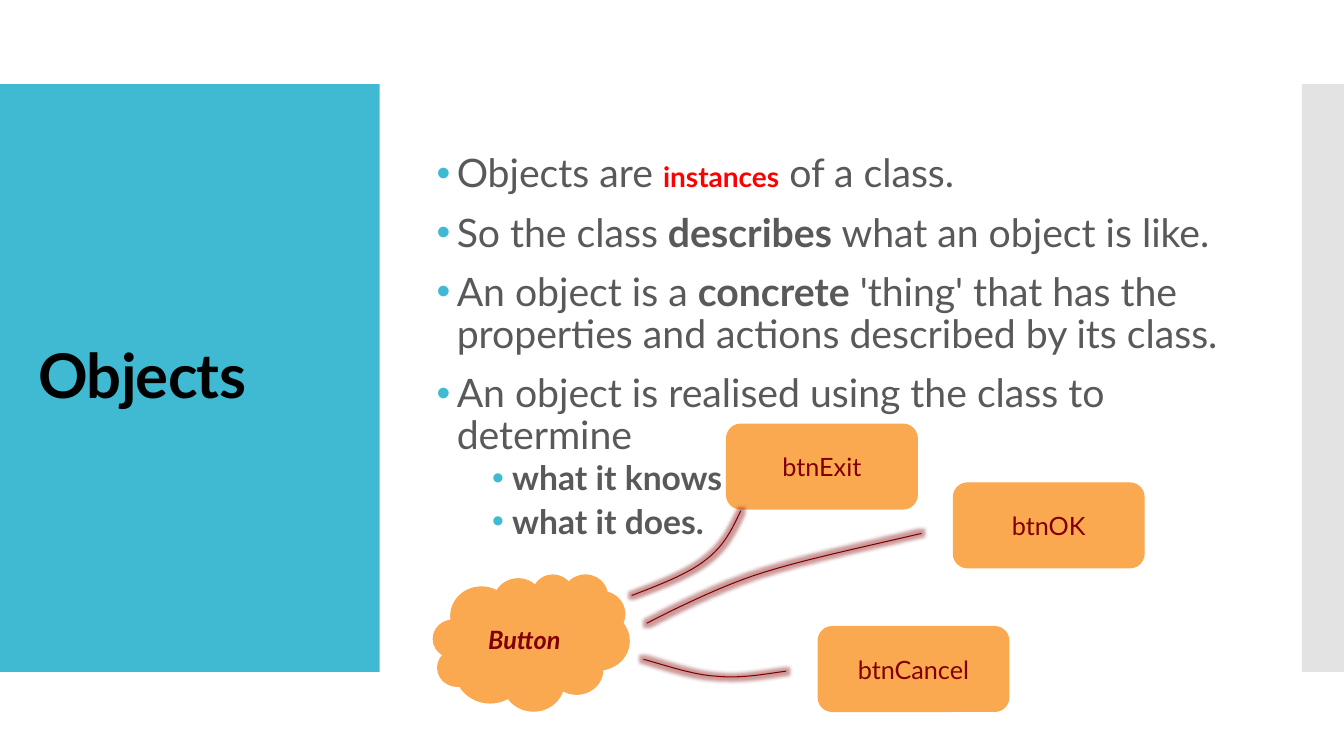
from dataclasses import dataclass

from lxml import etree
from pptx import Presentation, util as u
from pptx.dml.color import RGBColor
from pptx.enum import shapes, text
from pptx.oxml.ns import qn


@dataclass(frozen=True)
class Theme:
    font: str = "Lato"
    panel: str = "40BAD2"
    tab: str = "C8C8C8"
    node: str = "FAA950"
    maroon: str = "800000"
    body: str = "595959"
    title: str = "000000"
    accent: str = "FF0000"
    title_size: int = 44
    body_size: int = 28
    sub_size: int = 24
    accent_size: int = 20
    node_size: int = 18


THEME = Theme()
CELL = u.Inches(1) / 12  # the slide is a grid of 160 columns by 90 rows


def grid(*cells):
    return [round(cell * CELL) for cell in cells]


def rgb(colour):
    return RGBColor.from_string(colour)


def add_xml(parent, tag, **attributes):
    return etree.SubElement(parent, qn(tag), attributes)


def style_font(font, size, colour, bold=None, italic=None):
    font.name, font.size, font.bold, font.italic = THEME.font, u.Pt(size), bold, italic
    font.color.rgb = rgb(colour)


def add_block(slide, kind, box, colour, alpha=None):
    block = slide.shapes.add_shape(kind, *grid(*box))
    block.shadow.inherit = False
    block.fill.solid()
    block.fill.fore_color.rgb = rgb(colour)
    block.line.fill.background()
    if alpha:
        fill_colour = block.fill._xPr.find(qn("a:solidFill"))[0]
        add_xml(fill_colour, "a:alpha", val=str(alpha * 1000))
    return block


def add_node(slide, kind, box, label, emphasis=None):
    node = add_block(slide, kind, box, THEME.node)
    node.line.color.rgb = rgb(THEME.node)
    node.line.width = u.Pt(0.85)
    node.text_frame.vertical_anchor = text.MSO_ANCHOR.MIDDLE
    paragraph = node.text_frame.paragraphs[0]
    paragraph.alignment = text.PP_ALIGN.CENTER
    paragraph.add_run().text = label
    style_font(paragraph.font, THEME.node_size, THEME.maroon, emphasis, emphasis)


def add_text_area(slide, box):
    frame = slide.shapes.add_textbox(*grid(*box)).text_frame
    frame.word_wrap = True
    frame.vertical_anchor = text.MSO_ANCHOR.MIDDLE
    return frame


def add_title(slide, box, wording):
    paragraph = add_text_area(slide, box).paragraphs[0]
    paragraph.line_spacing = 0.9
    run = paragraph.add_run()
    run.text = wording
    run.font._element.set("spc", "-60")
    style_font(paragraph.font, THEME.title_size, THEME.title, True)


def add_bullet(paragraph, parts, sub=False):
    """Each part is a pair: wording and its emphasis (None, "bold" or "accent")."""
    paragraph.line_spacing = 0.9
    paragraph.space_before = u.Pt(2.5 if sub else 12)
    paragraph.space_after = u.Pt(2.5 if sub else 0)
    paragraph.level = int(sub)
    properties = paragraph._p.get_or_add_pPr()
    properties.set("marL", str(u.Inches(0.75 if sub else 0.2)))
    properties.set("indent", str(u.Inches(-0.2)))
    add_xml(add_xml(properties, "a:buClr"), "a:srgbClr", val=THEME.panel)
    add_xml(properties, "a:buFont", typeface="Arial")
    add_xml(properties, "a:buChar", char="•")
    style_font(paragraph.font, THEME.sub_size if sub else THEME.body_size,
               THEME.body, sub)
    for wording, emphasis in parts:
        run = paragraph.add_run()
        run.text = wording
        if emphasis == "bold":
            run.font.bold = True
        elif emphasis == "accent":
            style_font(run.font, THEME.accent_size, THEME.accent, True)


def add_body(slide, box, bullets):
    frame = add_text_area(slide, box)
    for index, (parts, sub) in enumerate(bullets):
        paragraph = frame.add_paragraph() if index else frame.paragraphs[0]
        add_bullet(paragraph, parts, sub)


def bezier(p0, p1, p2, p3, t):
    s = 1 - t
    return [s**3 * a + 3 * s * s * t * b + 3 * s * t * t * c + t**3 * d
            for a, b, c, d in zip(p0, p1, p2, p3)]


def add_link(slide, points, steps=12):
    """Draw a glowing curve through a chain of cubic segments."""
    route = [grid(*bezier(*points[start:start + 4], step / steps))
             for start in range(0, len(points) - 1, 3)
             for step in range(1, steps + 1)]
    builder = slide.shapes.build_freeform(*grid(*points[0]))
    builder.add_line_segments(route, close=False)
    link = builder.convert_to_shape()
    link.fill.background()
    link.line.color.rgb = rgb(THEME.maroon)
    link.line.width = u.Pt(0.75)
    link.shadow.inherit = False
    effects = link._element.spPr.find(qn("a:effectLst"))
    glow = add_xml(effects, "a:glow", rad=str(u.Pt(5)))
    glow_colour = add_xml(glow, "a:srgbClr", val=THEME.maroon)
    add_xml(glow_colour, "a:alpha", val="40000")


def main():
    deck = Presentation()
    deck.slide_width, deck.slide_height = grid(160, 90)
    slide = deck.slides.add_slide(deck.slide_layouts[6])
    kinds = shapes.MSO_SHAPE

    # Side panels
    add_block(slide, kinds.RECTANGLE, (0, 10, 45.2, 70), THEME.panel)
    add_block(slide, kinds.RECTANGLE, (155, 10, 5, 70), THEME.tab, alpha=50)

    # Explanation and title
    add_body(slide, (50.8, 11.3, 96, 60.2), [
        ([("Objects are ", None), ("instances", "accent"),
          (" of a class.", None)], False),
        ([("So the class ", None), ("describes ", "bold"),
          ("what an object is like.", None)], False),
        ([("An object is a ", None), ("concrete", "bold"),
          (" 'thing' that has the properties and actions described by its class.",
           None)], False),
        ([("An object is realised using the class to determine", None)], False),
        ([("what it knows", None)], True),
        ([("what it does.", None)], True),
    ])
    add_title(slide, (3.4, 14.8, 38.6, 60.4), "Objects")

    # Button class and its instances
    add_node(slide, kinds.CLOUD, (51.6, 68.4, 23.3, 16.2), "Button", True)
    for label, left, top in (("btnExit", 86.5, 50.5), ("btnCancel", 97.4, 74.6),
                             ("btnOK", 113.5, 57.5)):
        add_node(slide, kinds.ROUNDED_RECTANGLE, (left, top, 22.7, 10.1), label)

    # Links from each instance to the class
    exit_link = [(88.2, 60.8), (87.2, 62.9), (86.3, 64.9), (84.1, 66.6),
                 (82, 68.3), (78.6, 69.6), (75.2, 70.9)]
    ok_link = [(109.7, 63.5), (102.5, 65.2), (95.2, 66.7), (89.8, 68.5),
               (84.4, 70.3), (77, 74.2), (77, 74.2)]
    cancel_link = [(93.6, 79.9), (90.8, 80.3), (88, 80.8), (85.2, 80.5),
                   (82.4, 80.4), (77.3, 78.6), (76.6, 78.5)]
    for points in (exit_link, ok_link, cancel_link):
        add_link(slide, points)

    deck.save("out.pptx")


main()
